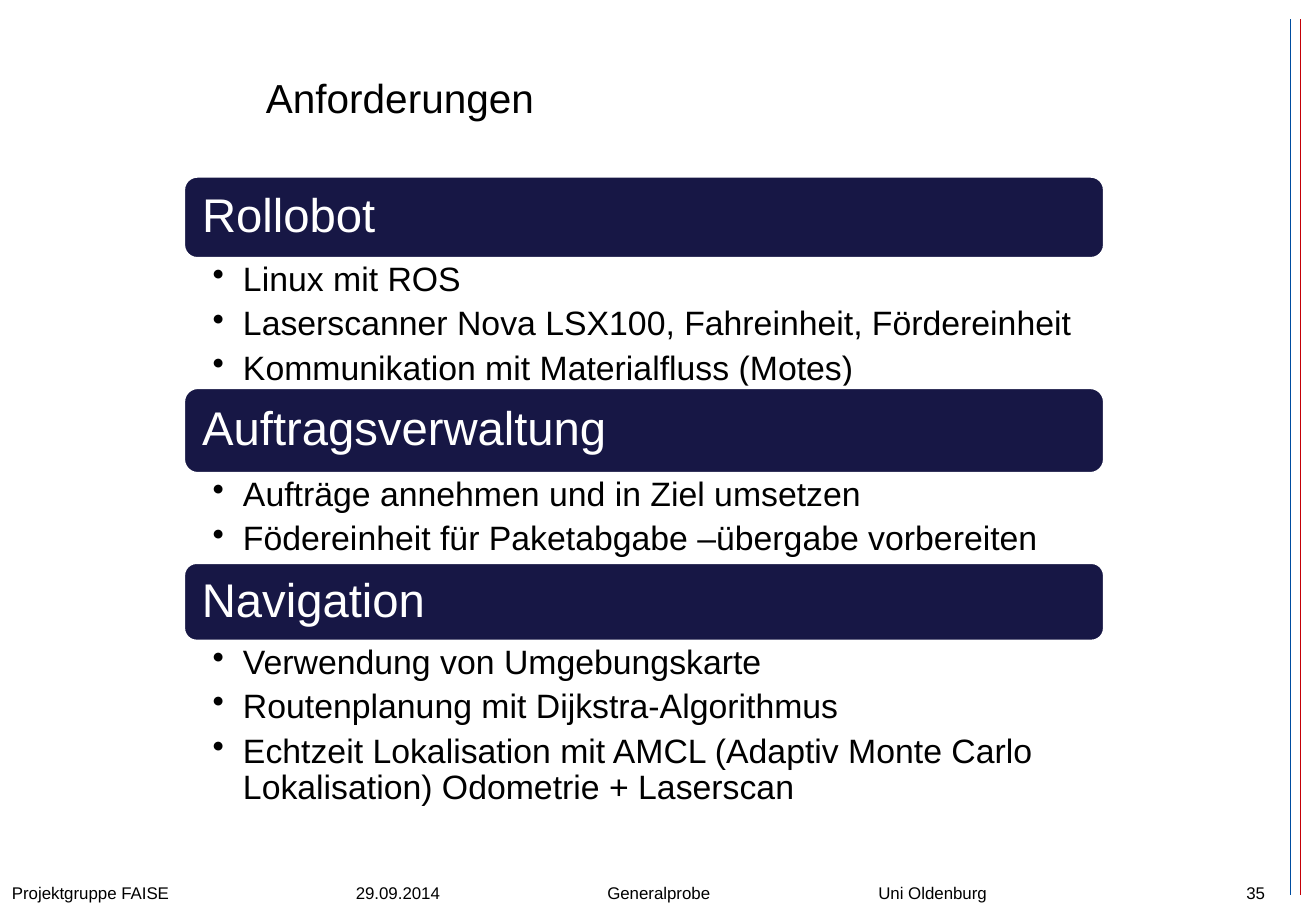
import pptx
import pptx.dml.color
import pptx.enum.shapes
import pptx.enum.text
import pptx.oxml
import pptx.oxml.ns
import pptx.util
from lxml import etree

Inches, Pt = pptx.util.Inches, pptx.util.Pt
ALIGN, ANCHOR = pptx.enum.text.PP_ALIGN, pptx.enum.text.MSO_ANCHOR
qn = pptx.oxml.ns.qn

BLACK, WHITE, NAVY, RED, BLUE = "000000", "FFFFFF", "171745", "C50007", "004CA0"

# Heading, its height, height of its list, list items
TOPICS = [
    ("Rollobot", 9.07, 14.13, [
        "Linux mit ROS",
        "Laserscanner Nova LSX100, Fahreinheit, Fördereinheit",
        "Kommunikation mit Materialfluss (Motes)"]),
    ("Auftragsverwaltung", 9.47, 9.73, [
        "Aufträge annehmen und in Ziel umsetzen",
        "Födereinheit für Paketabgabe –übergabe vorbereiten"]),
    ("Navigation", 8.67, 22.93, [
        "Verwendung von Umgebungskarte",
        "Routenplanung mit Dijkstra-Algorithmus",
        "Echtzeit Lokalisation mit AMCL (Adaptiv Monte Carlo Lokalisation) "
        "Odometrie + Laserscan"]),
]
FOOTER = ["Projektgruppe FAISE", "29.09.2014", "Generalprobe", "Uni Oldenburg"]
FOOTER_TABS = [26.13, 45.24, 65.84]


def rgb(value):
    return pptx.dml.color.RGBColor.from_string(value)


class Deck:
    """Style and current slide; positions are percentages of the slide size."""

    font = "Arial"

    def __init__(self, width, height):
        self.prs = pptx.Presentation()
        self.prs.slide_width, self.prs.slide_height = Inches(width), Inches(height)
        self.s = self.prs.slides.add_slide(self.prs.slide_layouts[6])

    def x(self, share):
        return round(self.prs.slide_width * share / 100)

    def y(self, share):
        return round(self.prs.slide_height * share / 100)

    def box(self, left, top, width, height):
        return self.x(left), self.y(top), self.x(width), self.y(height)

    def fill_text(self, sp, text, size, color=BLACK, align=ALIGN.LEFT,
                  anchor=ANCHOR.TOP, insets=(0.1, 0.05, 0.1, 0.05)):
        tf = sp.text_frame
        tf.word_wrap = True
        tf.vertical_anchor = anchor
        (tf.margin_left, tf.margin_top,
         tf.margin_right, tf.margin_bottom) = map(Inches, insets)
        tf.text = text
        for p in tf.paragraphs:
            p.alignment = align
            for r in p.runs:
                r.font.name, r.font.size = self.font, Pt(size)
                r.font.color.rgb = rgb(color)
        return tf

    def text(self, box, text, size, **style):
        sp = self.s.shapes.add_textbox(*self.box(*box))
        return self.fill_text(sp, text, size, **style)

    def band(self, box, text):
        sp = self.s.shapes.add_shape(
            pptx.enum.shapes.MSO_SHAPE.ROUNDED_RECTANGLE, *self.box(*box))
        sp.shadow.inherit = False
        sp.fill.solid()
        sp.fill.fore_color.rgb = rgb(NAVY)
        sp.line.color.rgb = rgb(WHITE)
        sp.line.width = Pt(2)
        tf = self.fill_text(sp, text, 28, color=WHITE, anchor=ANCHOR.MIDDLE,
                            insets=(0.12,) * 4)
        tf.paragraphs[0].line_spacing = 0.9

    def bullets(self, box, items):
        tf = self.text(box, "\n".join(items), 20, insets=(0.24, 0.03, 0.16, 0.03))
        for p in tf.paragraphs:
            pPr = p._p.get_or_add_pPr()
            pPr.set("marL", str(Inches(0.25)))
            pPr.set("indent", str(-Inches(0.25)))
            etree.SubElement(pPr, qn("a:buChar"), char="•")
            p.line_spacing = 0.9
            p.space_after = Pt(4.8)

    def tabbed(self, box, items, stops, size):
        """One line of text whose items start at the given tab stops."""
        tf = self.text(box, "\t".join(items), size)
        pPr = tf.paragraphs[0]._p.get_or_add_pPr()
        tabs = etree.SubElement(pPr, qn("a:tabLst"))
        for stop in stops:
            etree.SubElement(tabs, qn("a:tab"), pos=str(self.x(stop)), algn="l")

    def vertical_line(self, left, top, bottom, color):
        c = self.s.shapes.add_connector(
            pptx.enum.shapes.MSO_CONNECTOR.STRAIGHT,
            self.x(left), self.y(top), self.x(left), self.y(bottom))
        c.line.color.rgb = rgb(color)
        c.line.width = Pt(0.25)
        etree.SubElement(c._element.spPr, qn("a:effectLst"))


def main():
    deck = Deck(10.83, 7.5)
    for left, color in ((98.8, RED), (98.06, BLUE)):
        deck.vertical_line(left, 2.13, 98.27, color)
    deck.text((19.3, 4, 75.72, 13.47), "Anforderungen", 24, anchor=ANCHOR.MIDDLE)

    left, top, width = 13.94, 19.33, 70
    for heading, band_height, list_height, items in TOPICS:
        deck.band((left, top, width, band_height), heading)
        top += band_height
        deck.bullets((left, top, width, list_height), items)
        top += list_height

    deck.tabbed((0, 96.27, 94.09, 3.73), FOOTER, FOOTER_TABS, 10)
    deck.text((73.68, 96.27, 23.36, 3.2), "35", 10, align=ALIGN.RIGHT)
    deck.prs.save("out.pptx")


if __name__ == "__main__":
    main()
